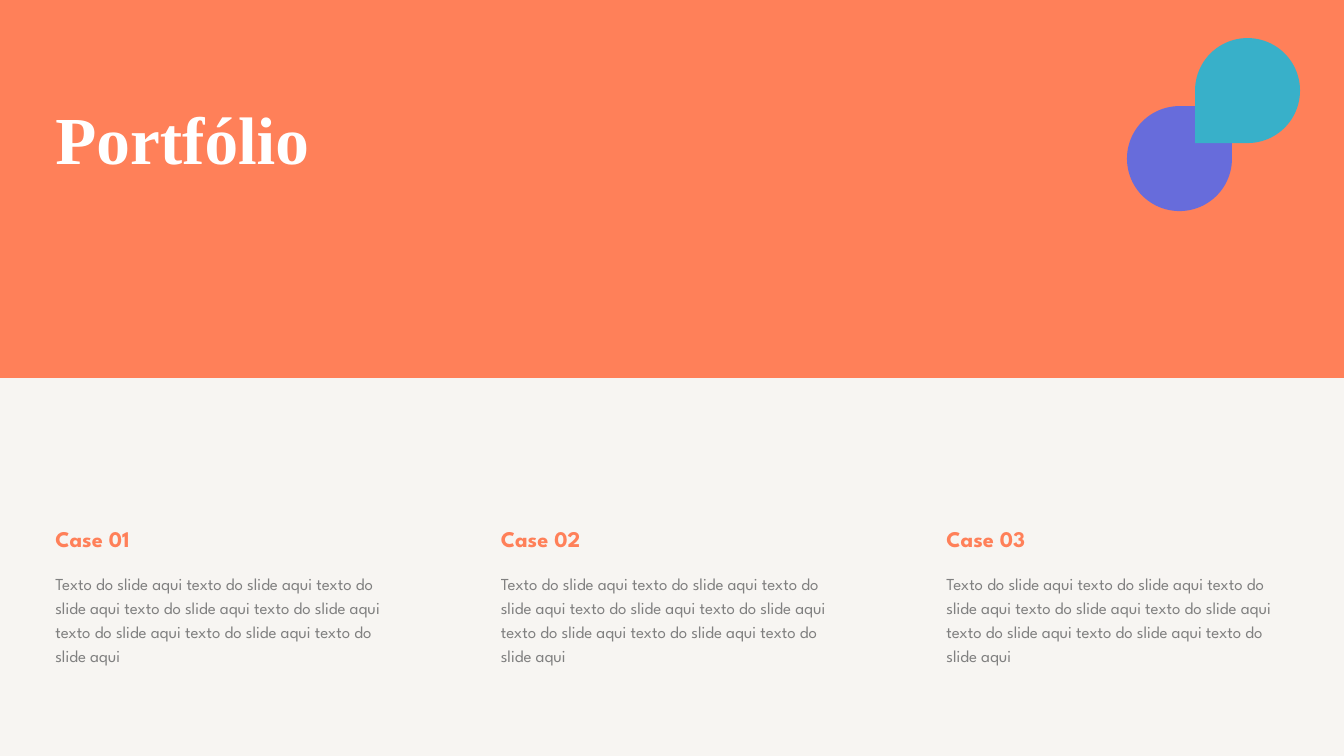
import pptx
import pptx.util
import pptx.dml.color
import pptx.enum.shapes
import pptx.enum.text
from dataclasses import dataclass

Pt = pptx.util.Pt
Shape = pptx.enum.shapes.MSO_SHAPE


@dataclass(frozen=True)
class Theme:
    paper: str = "F7F5F2"
    coral: str = "FF8059"
    violet: str = "676CDB"
    teal: str = "38B0C9"
    white: str = "FFFFFF"
    gray: str = "808080"
    serif: str = "Times New Roman"
    sans: str = "League Spartan"
    title: int = 48
    head: int = 16
    body: int = 12


THEME = Theme()
WIDE, HIGH = 960, 540
LEFT, STEP, COL = 32.4, 318.25, 258.5
BODY = " ".join(["Texto do slide aqui"] + ["texto do slide aqui"] * 7)
# The body shows seven repeats in four lines
CASES = [("Case 01", BODY), ("Case 02", BODY), ("Case 03", BODY)]


def color(code):
    return pptx.dml.color.RGBColor.from_string(code)


def place(item, x, y, w, h):
    item.left, item.top, item.width, item.height = map(Pt, (x, y, w, h))


def paint(slide, kind, box, code):
    shape = slide.shapes.add_shape(kind, *map(Pt, box))
    shape.shadow.inherit = False
    shape.fill.solid()
    shape.fill.fore_color.rgb = color(code)
    shape.line.fill.background()
    return shape


def write(item, text, face, size, code, bold=False, space=None):
    frame = item.text_frame
    frame.word_wrap = True
    frame.auto_size = pptx.enum.text.MSO_AUTO_SIZE.NONE
    frame.vertical_anchor = pptx.enum.text.MSO_ANCHOR.TOP
    frame.text = text
    para = frame.paragraphs[0]
    para.alignment = pptx.enum.text.PP_ALIGN.LEFT
    para.space_before = Pt(0)
    para.line_spacing = space
    font = para.font
    font.name, font.size, font.bold = face, Pt(size), bold
    font.color.rgb = color(code)


def banner(slide, x, y, w, h):
    # Coral band, sent behind the title
    band = paint(slide, Shape.RECTANGLE, (x, y, w, h), THEME.coral)
    slide.shapes.title.element.addprevious(band.element)
    # Title
    title = slide.shapes.title
    place(title, x + LEFT, y + 53.3, 558, 77.8)
    write(title, "Portfólio", THEME.serif, THEME.title, THEME.white, True, Pt(70))
    # Two drops, corner to corner
    size, shift = 75, 48.6
    low = (x + w - 155, y + 75.8, size, size)
    top = (low[0] + shift, low[1] - shift, size, size)
    paint(slide, Shape.TEAR, low, THEME.violet)
    paint(slide, Shape.TEAR, top, THEME.teal).rotation = 180


def case(slide, x, y, w, head, body):
    # Heading over its text
    label = slide.shapes.add_textbox(Pt(x), Pt(y), Pt(w), Pt(26.6))
    write(label, head, THEME.sans, THEME.head, THEME.coral, True)
    text = slide.shapes.add_textbox(Pt(x), Pt(y + 31.7), Pt(w), Pt(75.6))
    write(text, body, THEME.sans, THEME.body, THEME.gray, space=1.2)


def main():
    deck = pptx.Presentation()
    deck.slide_width, deck.slide_height = Pt(WIDE), Pt(HIGH)
    slide = deck.slides.add_slide(deck.slide_layouts[5])
    slide.background.fill.solid()
    slide.background.fill.fore_color.rgb = color(THEME.paper)
    banner(slide, 0, 0, WIDE, HIGH / 2)
    for i, (head, body) in enumerate(CASES):
        case(slide, LEFT + i * STEP, 371.5, COL, head, body)
    deck.save("out.pptx")


if __name__ == "__main__":
    main()
